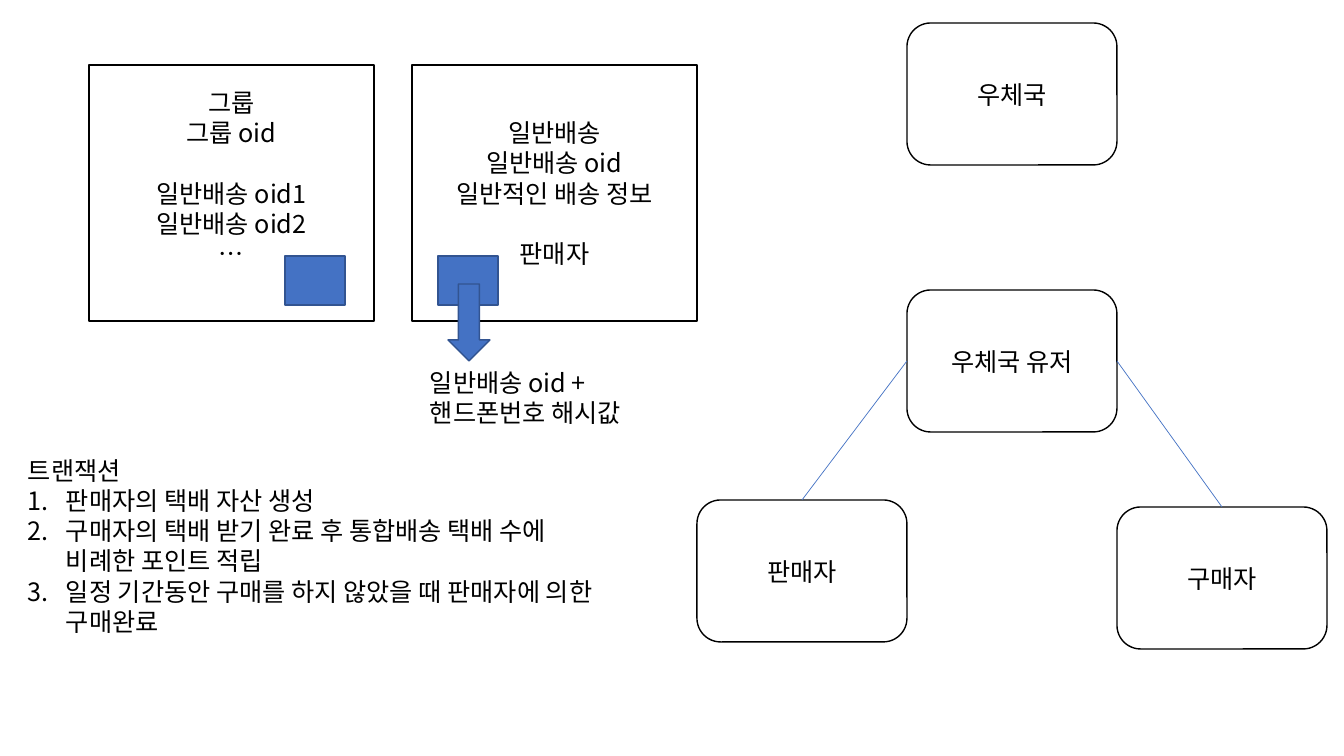
from dataclasses import dataclass

from lxml import etree
from pptx import Presentation
from pptx import util as u
from pptx.dml.color import RGBColor
from pptx.enum import shapes, text
from pptx.oxml.ns import qn

EMU_PER_PX = 12192000 / 1344


@dataclass(frozen=True)
class Theme:
    font: str = "Noto Sans CJK KR"
    size: int = 18
    line_height: float = 21.6
    ink: RGBColor = RGBColor(0, 0, 0)
    paper: RGBColor = RGBColor(255, 255, 255)
    accent: RGBColor = RGBColor(0x44, 0x72, 0xC4)
    accent_edge: RGBColor = RGBColor(0x32, 0x54, 0x91)


THEME = Theme()
SHAPE = shapes.MSO_SHAPE
CENTER = text.PP_ALIGN.CENTER


def px(length):
    return u.Emu(round(length * EMU_PER_PX))


def set_all(target, values):
    for name, value in values.items():
        setattr(target, name, value)


def write_lines(frame, lines, align=None):
    """Write one paragraph per line; an empty line becomes space before the next."""
    gap = 0
    first = True
    for line in lines:
        if not line:
            gap += THEME.line_height
            continue
        para = frame.paragraphs[0] if first else frame.add_paragraph()
        first = False
        set_all(para, {"alignment": align, "space_before": u.Pt(gap)})
        gap = 0
        span = para.add_run()
        span.text = line
        set_all(span.font, {"name": THEME.font, "size": u.Pt(THEME.size)})
        span.font.color.rgb = THEME.ink
        east_asian = etree.SubElement(span.font._element, qn("a:ea"))
        east_asian.set("typeface", THEME.font)


def add_block(page, kind, box, fill, edge):
    block = page.shapes.add_shape(kind, *map(px, box))
    block.shadow.inherit = False
    block.fill.solid()
    block.fill.fore_color.rgb = fill
    block.line.color.rgb = edge
    block.line.width = u.Pt(1)
    return block


def add_card(page, kind, box, lines):
    card = add_block(page, kind, box, THEME.paper, THEME.ink)
    set_all(card.text_frame, {"word_wrap": True,
                              "vertical_anchor": text.MSO_ANCHOR.MIDDLE})
    write_lines(card.text_frame, lines, CENTER)
    return card


def add_note(page, box, lines):
    note = page.shapes.add_textbox(*map(px, box))
    set_all(note.text_frame, {"word_wrap": True,
                              "auto_size": text.MSO_AUTO_SIZE.SHAPE_TO_FIT_TEXT})
    write_lines(note.text_frame, lines)
    return note


def number_paragraph(para, indent):
    props = para._p.get_or_add_pPr()
    props.set("marL", str(px(indent)))
    props.set("indent", str(-px(indent)))
    font = etree.SubElement(props, qn("a:buFont"))
    font.set("typeface", THEME.font)
    etree.SubElement(props, qn("a:buAutoNum")).set("type", "arabicPeriod")


def draw_assets(page, left, top):
    """Place the group and delivery records with their tags and the hash note."""
    width, height = 285, 256
    delivery_left = left + 323
    add_card(page, SHAPE.RECTANGLE, (delivery_left, top, width, height),
             ["일반배송", "일반배송 oid", "일반적인 배송 정보", "", "판매자"])
    group = add_card(page, SHAPE.RECTANGLE, (left, top, width, height),
                     ["그룹", "그룹 oid", "", "일반배송 oid1", "일반배송 oid2", "…"])
    group.text_frame.margin_bottom += u.Pt(THEME.line_height)

    tags = [(SHAPE.RECTANGLE, (left + 196, top + 191, 60, 49)),
            (SHAPE.RECTANGLE, (delivery_left + 26, top + 191, 60, 49)),
            (SHAPE.DOWN_ARROW, (delivery_left + 36, top + 219, 42, 77))]
    for kind, box in tags:
        add_block(page, kind, box, THEME.accent, THEME.accent_edge)
    add_note(page, (delivery_left + 8, top + 297, 263, 72),
             ["일반배송 oid + 핸드폰번호 해시값"])


def link(page, parent, parent_side, child):
    line = page.shapes.add_connector(shapes.MSO_CONNECTOR.STRAIGHT, 0, 0, 0, 0)
    line.begin_connect(parent, parent_side)
    line.end_connect(child, 0)
    line.line.color.rgb = THEME.accent
    line.line.width = u.Pt(0.5)
    etree.SubElement(line._element.spPr, qn("a:effectLst"))


def draw_roles(page, left, top):
    """Place the post office above its user, who splits into seller and buyer."""
    width, height = 210, 142
    places = {"우체국": (1, 0), "우체국 유저": (1, 267),
              "판매자": (0, 477), "구매자": (2, 484)}
    roles = {
        name: add_card(page, SHAPE.ROUNDED_RECTANGLE,
                       (left + column * width, top + drop, width, height), [name])
        for name, (column, drop) in places.items()
    }
    for side, child in ((1, "판매자"), (3, "구매자")):
        link(page, roles["우체국 유저"], side, roles[child])


def draw_transactions(page, box):
    note = add_note(page, box, [
        "트랜잭션",
        "판매자의 택배 자산 생성",
        "구매자의 택배 받기 완료 후 통합배송 택배 수에 비례한 포인트 적립",
        "일정 기간동안 구매를 하지 않았을 때 판매자에 의한 구매완료",
    ])
    for para in note.text_frame.paragraphs[1:]:
        number_paragraph(para, 38)


def main():
    deck = Presentation()
    set_all(deck, {"slide_width": px(1344), "slide_height": px(756)})
    page = deck.slides.add_slide(deck.slide_layouts[6])
    draw_assets(page, 89, 65)
    draw_roles(page, 697, 23)
    draw_transactions(page, (18, 450, 593, 194))
    deck.save("out.pptx")


if __name__ == "__main__":
    main()
